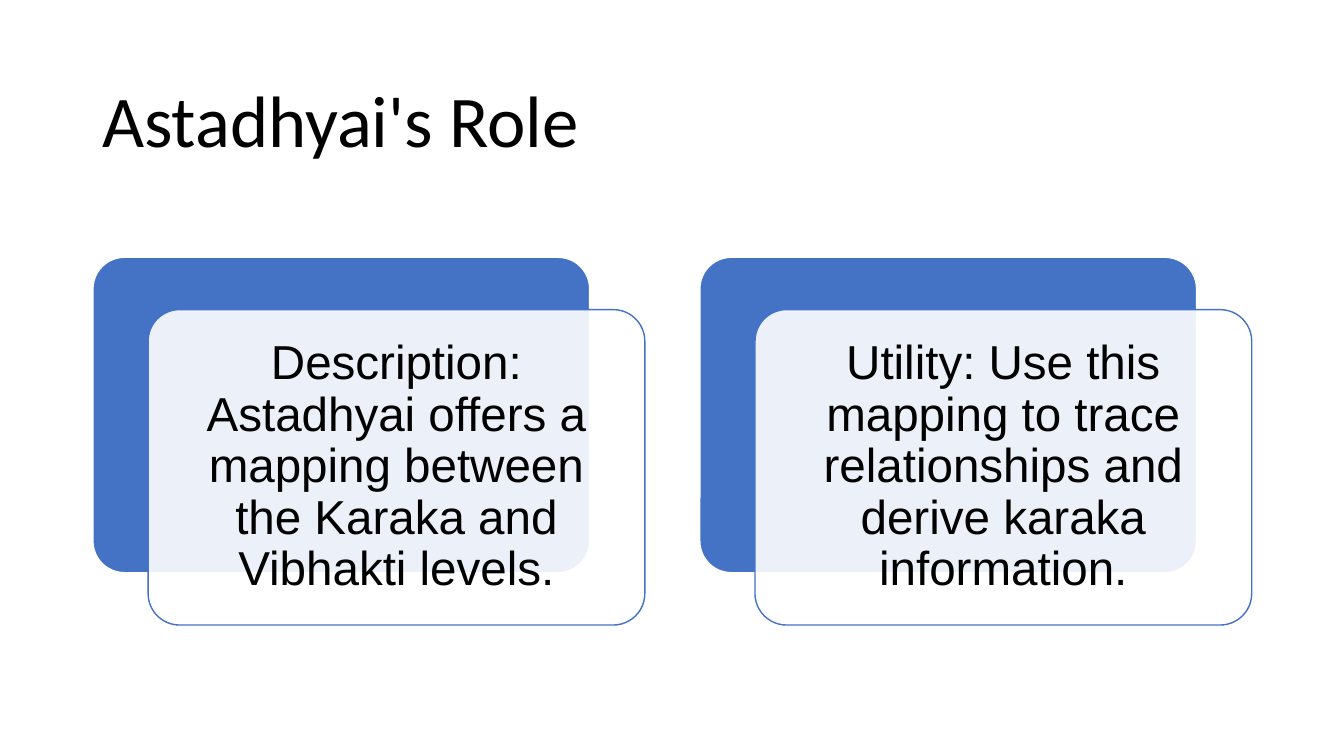
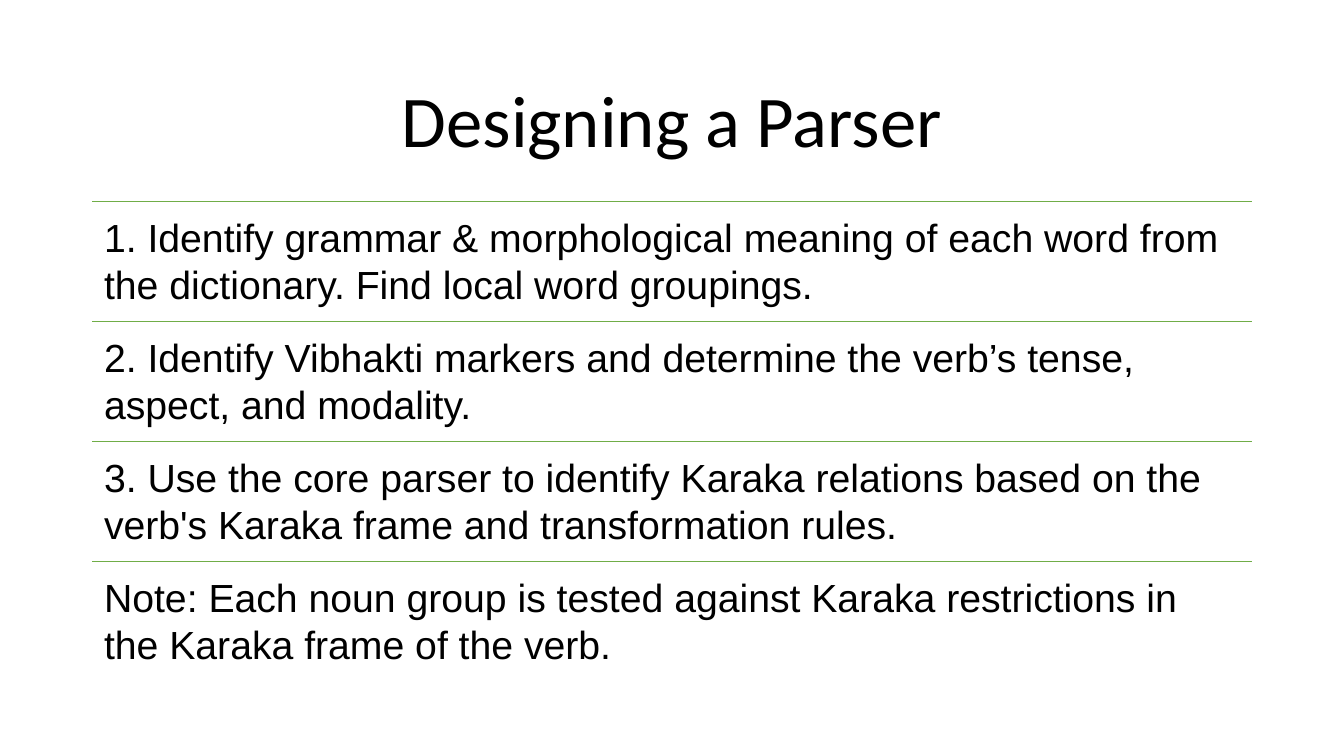
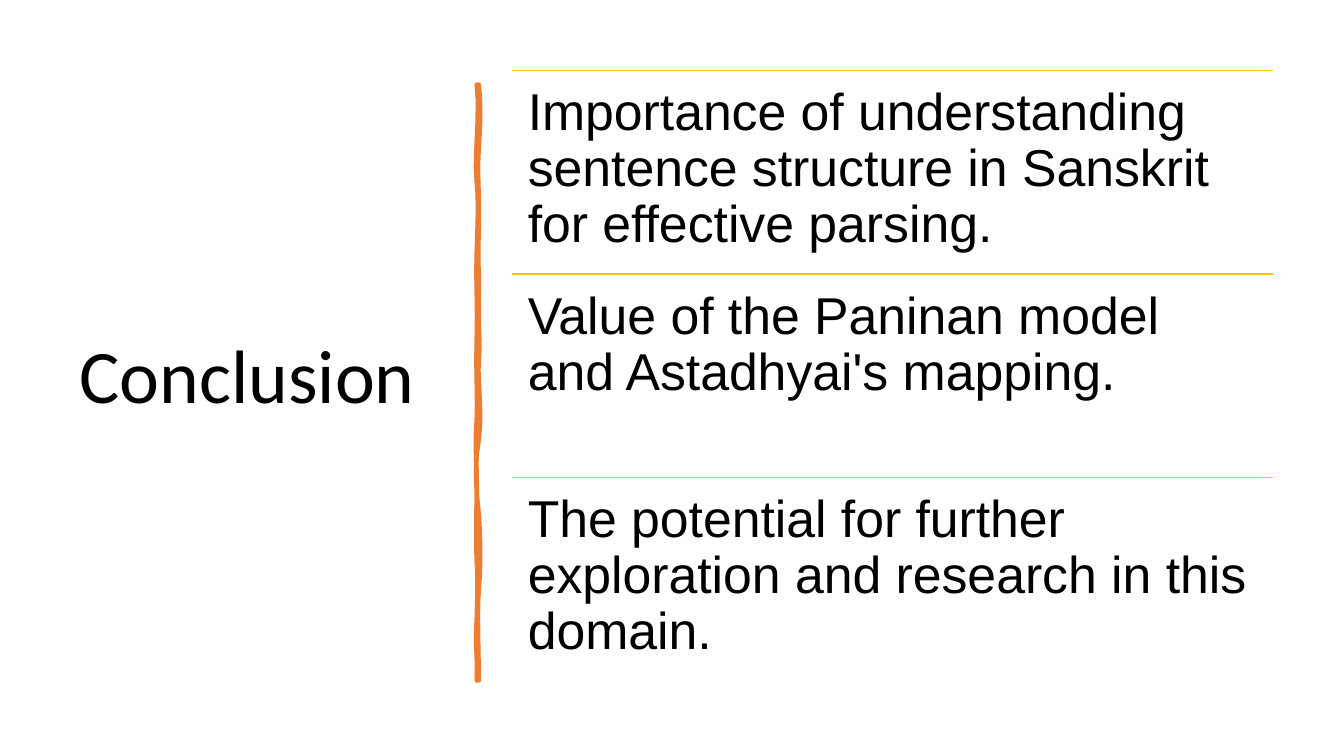
from lxml.etree import SubElement
from pptx import Presentation
from pptx.dml.color import RGBColor
from pptx.enum.shapes import MSO_CONNECTOR, MSO_SHAPE
from pptx.enum.text import MSO_ANCHOR, PP_ALIGN
from pptx.oxml.ns import qn
from pptx.util import Pt

COLORS = {"text": "000000", "white": "FFFFFF", "blue": "4472C4",
          "green": "70AD47", "orange": "ED7D31", "gold": "FFC000"}
RGB = {name: RGBColor.from_string(value) for name, value in COLORS.items()}
TITLE = {"font": "Calibri", "size": 52, "anchor": MSO_ANCHOR.MIDDLE, "inset": (7.2, 3.6)}
TITLE_BOX = (66, 44, 828, 89)


def add_text(sp, text, font="Arial", size=28, align=PP_ALIGN.LEFT,
             anchor=MSO_ANCHOR.TOP, inset=(0, 0), spacing=0.9):
    tf = sp.text_frame
    tf.word_wrap = True
    tf.vertical_anchor = anchor
    tf.margin_left = tf.margin_right = Pt(inset[0])
    tf.margin_top = tf.margin_bottom = Pt(inset[1])
    p = tf.paragraphs[0]
    p.alignment = align
    p.line_spacing = spacing
    r = p.add_run()
    r.text = text
    r.font.name = font
    r.font.size = Pt(size)
    r.font.color.rgb = RGB["text"]


def add_ruled_rows(s, rows, left, top, width, height, color, **fmt):
    for i, text in enumerate(rows):
        y = top + i * height
        rule = s.shapes.add_connector(MSO_CONNECTOR.STRAIGHT, Pt(left), Pt(y),
                                      Pt(left + width), Pt(y))
        rule.line.color.rgb = RGB[color]
        rule.line.width = Pt(1)
        SubElement(rule._element.spPr, qn("a:effectLst"))
        sp = s.shapes.add_textbox(Pt(left), Pt(y), Pt(width), Pt(height))
        add_text(sp, text, **fmt)


prs = Presentation()
prs.slide_width, prs.slide_height = Pt(960), Pt(540)
blank = prs.slide_layouts[6]

# Slide 1: two offset cards
s = prs.slides.add_slide(blank)
add_text(s.shapes.add_textbox(*map(Pt, TITLE_BOX)), "Astadhyai's Role", **TITLE)
cards = ["Description: Astadhyai offers a mapping between the Karaka and Vibhakti levels.",
         "Utility: Use this mapping to trace relationships and derive karaka information."]
for i, text in enumerate(cards):
    x = 66.4 + i * 433.5
    for dx, dy, fill, line in ((0, 0, "blue", "white"), (39.4, 37.4, "white", "blue")):
        sp = s.shapes.add_shape(MSO_SHAPE.ROUNDED_RECTANGLE, Pt(x + dx), Pt(183.8 + dy),
                                Pt(354.8), Pt(225.3))
        sp.adjustments[0] = 0.1
        sp.shadow.inherit = False
        sp.fill.solid()
        sp.fill.fore_color.rgb = RGB[fill]
        sp.line.color.rgb = RGB[line]
        sp.line.width = Pt(1)
    # The front card is slightly transparent and carries the text
    color = sp._element.spPr.find(qn("a:solidFill"))[0]
    SubElement(color, qn("a:alpha")).set("val", "90000")
    add_text(sp, text, size=34, align=PP_ALIGN.CENTER, anchor=MSO_ANCHOR.MIDDLE, inset=(10, 10))

# Slide 2: ruled list of steps
s = prs.slides.add_slide(blank)
add_text(s.shapes.add_textbox(*map(Pt, TITLE_BOX)), "Designing a Parser",
         align=PP_ALIGN.CENTER, **TITLE)
steps = [
    "1. Identify grammar & morphological meaning of each word from the dictionary. "
    "Find local word groupings.",
    "2. Identify Vibhakti markers and determine the verb’s tense, aspect, and modality.",
    "3. Use the core parser to identify Karaka relations based on the verb's Karaka frame "
    "and transformation rules.",
    "Note: Each noun group is tested against Karaka restrictions in the Karaka frame of the verb.",
]
add_ruled_rows(s, steps, 66, 144, 828, 85.7, "green", size=28, inset=(8.4, 8.4), spacing=1.0)

# Slide 3: title beside a hand-drawn bar and a ruled list
s = prs.slides.add_slide(blank)
add_text(s.shapes.add_textbox(Pt(49.7), Pt(50.4), Pt(269.3), Pt(440)), "Conclusion",
         **{**TITLE, "size": 54})

# Bar edges as Bezier segments: two control points and an end point each
bar_right, bar_left, bar_top, bar_bottom = 342, 340.6, 60.5, 486
right_edge = [
    (343.4, 73.4, 343.4, 85.7, 105.1), (340.6, 124.6, 342.7, 140.4, 162.7),
    (341.3, 185, 342, 188.6, 211.7), (341.3, 234, 343.4, 246.2, 256.3),
    (340.6, 266.4, 344.9, 298.1, 313.9), (339.1, 329, 339.8, 348.5, 367.2),
    (343.4, 385.9, 343.4, 406.1, 420.5), (340.6, 434.2, 342, 468, bar_bottom),
]
left_edge = [
    (341.3, 465.1, 339.1, 463.7, 441.4), (341.3, 419.8, 341.3, 410.4, 401),
    (339.8, 391.7, 340.6, 356.4, 343.4), (340.6, 330.5, 339.1, 320.4, 298.8),
    (341.3, 277.9, 339.8, 268.6, 241.2), (341.3, 214.6, 339.8, 202.3, 179.3),
    (341.3, 157, 342, 144, 130.3), (338.4, 117.4, 343.4, 74.9, bar_top),
]
points = []
for x, y, edge in ((bar_right, bar_top, right_edge), (bar_left, bar_bottom, left_edge)):
    points.append((x, y))
    for x1, y1, x2, y2, end in edge:
        for t in (0.2, 0.4, 0.6, 0.8, 1):
            a, b, c, d = (1 - t) ** 3, 3 * t * (1 - t) ** 2, 3 * t * t * (1 - t), t ** 3
            points.append((a * x + b * x1 + c * x2 + d * x, a * y + b * y1 + c * y2 + d * end))
        y = end
points = [(Pt(x), Pt(y)) for x, y in points]
outline = s.shapes.build_freeform(*points[0])
outline.add_line_segments(points[1:], close=True)
bar = outline.convert_to_shape()
bar.shadow.inherit = False
bar.fill.solid()
bar.fill.fore_color.rgb = RGB["orange"]
bar.line.color.rgb = RGB["orange"]
bar.line.width = Pt(3.25)
SubElement(bar.line._get_or_add_ln(), qn("a:round"))

points_made = [
    "Importance of understanding sentence structure in Sanskrit for effective parsing.",
    "Value of the Paninan model and Astadhyai's mapping.",
    "The potential for further exploration and research in this domain.",
]
add_ruled_rows(s, points_made, 366, 50.4, 543.5, 145.3, "gold", size=37, inset=(11, 11))

prs.save("out.pptx")
